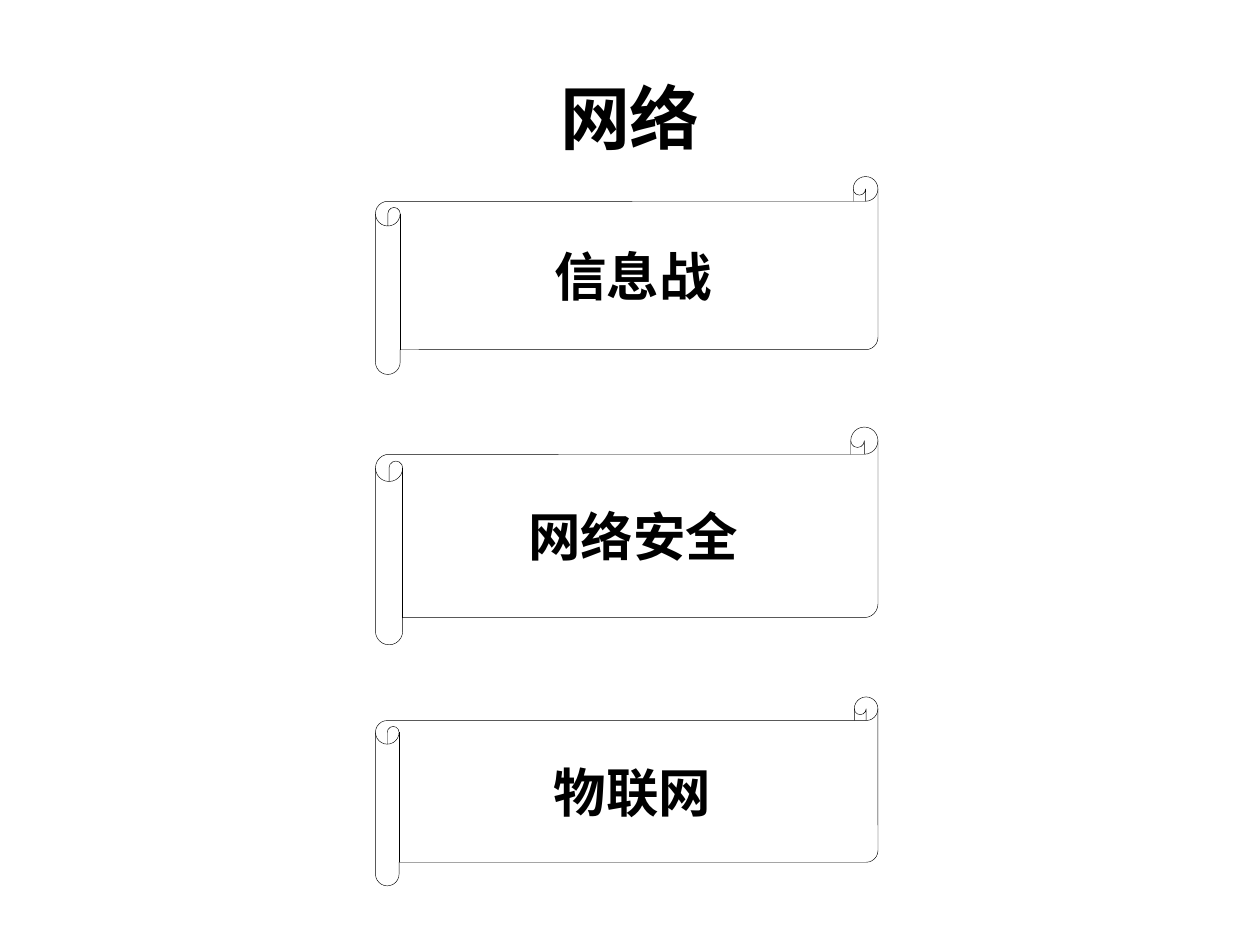
from lxml.etree import SubElement
from pptx import Presentation
from pptx.dml.color import RGBColor
from pptx.enum.shapes import MSO_SHAPE
from pptx.enum.text import MSO_ANCHOR, PP_ALIGN
from pptx.oxml.ns import qn
from pptx.util import Cm, Pt

BLACK = RGBColor(0x00, 0x00, 0x00)
FONT_NAME = "Noto Sans CJK SC"
TITLE_SIZE = Pt(40)
SCROLL_SIZE = Pt(30)
SCROLL_LEFT = Cm(7.57)
SCROLL_WIDTH = Cm(10.13)
SCROLLS = [
    ("信息战", 3.56, 3.99),
    ("网络安全", 8.61, 4.39),
    ("物联网", 14.05, 3.81),
]


def set_attributes(target, values):
    for name, value in values.items():
        setattr(target, name, value)


def write_text(shape, text, size):
    frame = shape.text_frame
    set_attributes(frame, {"vertical_anchor": MSO_ANCHOR.MIDDLE, "word_wrap": True})
    paragraph = frame.paragraphs[0]
    paragraph.alignment = PP_ALIGN.CENTER
    run = paragraph.add_run()
    run.text = text
    set_attributes(run.font, {"name": FONT_NAME, "size": size, "bold": True})
    run.font.color.rgb = BLACK
    properties = run._r.get_or_add_rPr()
    SubElement(properties, qn("a:ea")).set("typeface", FONT_NAME)


def place_title(slide, text):
    title = slide.shapes.title
    set_attributes(title, {
        "left": Cm(1.27),
        "top": Cm(0.76),
        "width": Cm(22.86),
        "height": Cm(3.18),
    })
    write_text(title, text, TITLE_SIZE)


def add_scroll(slide, text, top, height):
    scroll = slide.shapes.add_shape(
        MSO_SHAPE.HORIZONTAL_SCROLL, SCROLL_LEFT, Cm(top), SCROLL_WIDTH, Cm(height)
    )
    scroll.shadow.inherit = False
    scroll.fill.background()
    scroll.line.color.rgb = BLACK
    scroll.line.width = Pt(0.25)
    write_text(scroll, text, SCROLL_SIZE)


def main():
    presentation = Presentation()
    set_attributes(presentation, {"slide_width": Cm(25.4), "slide_height": Cm(19.05)})
    slide = presentation.slides.add_slide(presentation.slide_layouts[5])
    place_title(slide, "网络")
    for text, top, height in SCROLLS:
        add_scroll(slide, text, top, height)
    presentation.save("out.pptx")


if __name__ == "__main__":
    main()
